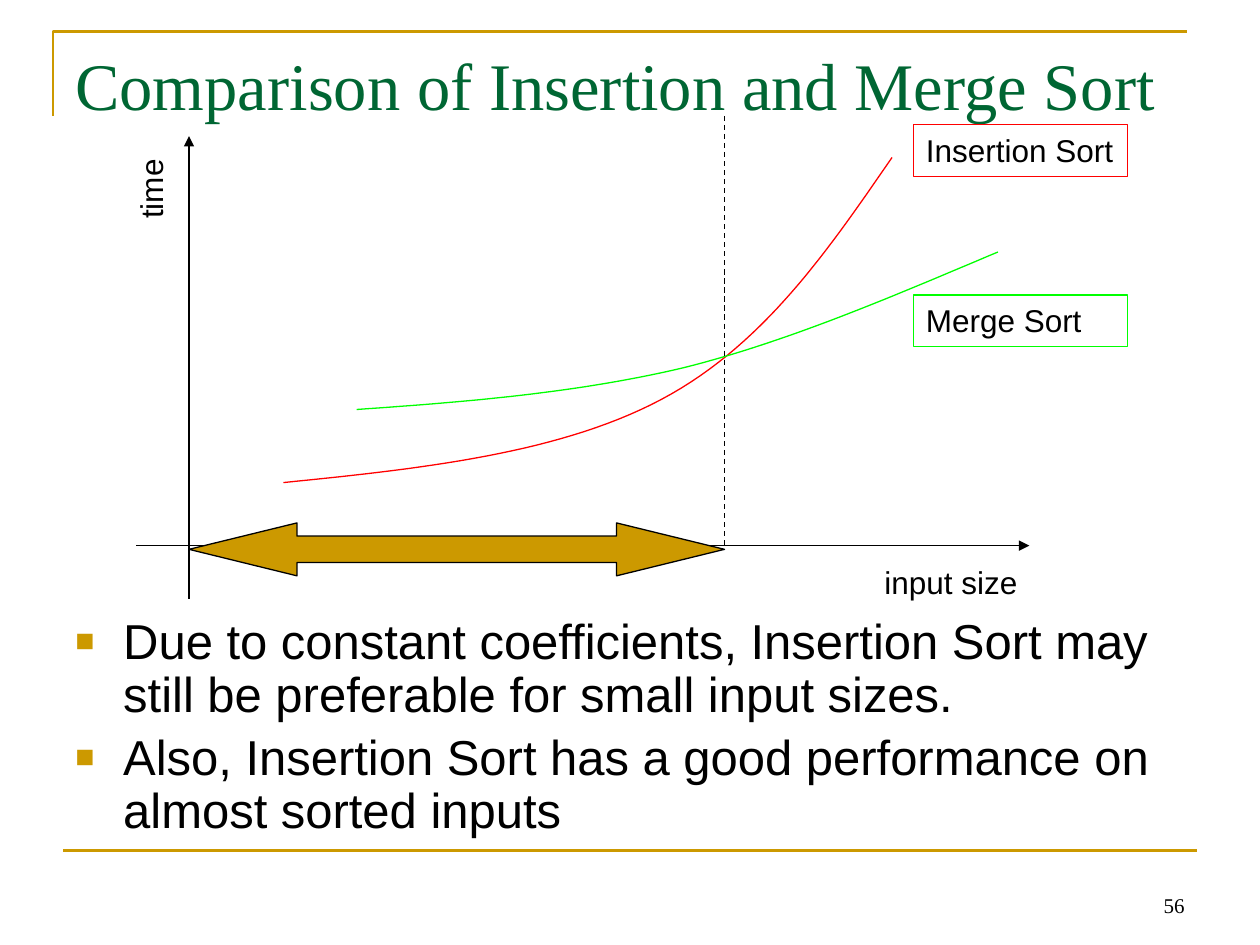
from dataclasses import dataclass

from lxml.etree import SubElement
from pptx import Presentation
from pptx.dml.color import RGBColor
from pptx.enum.dml import MSO_LINE_DASH_STYLE as Dash
from pptx.enum.shapes import MSO_CONNECTOR as Connector, MSO_SHAPE as Shape
from pptx.enum.text import MSO_ANCHOR as Anchor, PP_ALIGN as Align
from pptx.oxml.ns import qn
from pptx.util import Inches, Pt


@dataclass(frozen=True)
class Theme:
    gold: str = "CC9900"
    green: str = "006633"
    black: str = "000000"
    insertion: str = "FF0000"
    merge: str = "00FF00"
    serif: str = "Times New Roman"
    sans: str = "Arial"
    title_size: int = 38
    body_size: int = 28
    label_size: int = 18
    number_size: int = 12
    rule_width: float = 1.5
    thin_width: float = 0.75


def rgb(color):
    return RGBColor.from_string(color)


def bezier(start, control_1, control_2, end, steps=30):
    """Points along a cubic curve, without its start."""
    for step in range(1, steps + 1):
        t = step / steps
        weights = ((1 - t) ** 3, 3 * t * (1 - t) ** 2, 3 * t * t * (1 - t), t ** 3)
        yield tuple(
            sum(w * c for w, c in zip(weights, coords))
            for coords in zip(start, control_1, control_2, end)
        )


class SlideBuilder:
    def __init__(self, slide, theme):
        self.shapes = slide.shapes
        self.theme = theme

    def style_text(self, paragraph, size, color=None, font=None):
        paragraph.font.size = Pt(size)
        paragraph.font.name = font or self.theme.sans
        paragraph.font.color.rgb = rgb(color or self.theme.black)

    def style_line(self, line, color, width):
        line.color.rgb = rgb(color)
        line.width = Pt(width)

    def text(self, content, box, size, font=None, color=None, wrap=True,
             align=Align.LEFT, anchor=Anchor.TOP, rotation=0):
        label = self.shapes.add_textbox(*map(Inches, box))
        label.rotation = rotation
        frame = label.text_frame
        frame.word_wrap = wrap
        frame.vertical_anchor = anchor
        paragraph = frame.paragraphs[0]
        paragraph.text = content
        paragraph.alignment = align
        self.style_text(paragraph, size, color, font)
        return label

    def bullets(self, items, box, indent=0.38):
        frame = self.shapes.add_textbox(*map(Inches, box)).text_frame
        frame.word_wrap = True
        for index, item in enumerate(items):
            paragraph = frame.add_paragraph() if index else frame.paragraphs[0]
            paragraph.text = item
            paragraph.line_spacing = 0.9
            paragraph.space_before = Pt(0.2 * self.theme.body_size if index else 0)
            properties = paragraph._p.get_or_add_pPr()
            properties.set("marL", str(Inches(indent)))
            properties.set("indent", str(-Inches(indent)))
            bullet_color = SubElement(properties, qn("a:buClr"))
            SubElement(bullet_color, qn("a:srgbClr"), val=self.theme.gold)
            SubElement(properties, qn("a:buSzPct"), val="65000")
            SubElement(properties, qn("a:buFont"), typeface=self.theme.sans)
            SubElement(properties, qn("a:buChar"), char="■")
            self.style_text(paragraph, self.theme.body_size)

    def line(self, start, end, color, width, dash=None, arrow=False):
        ends = map(Inches, (*start, *end))
        connector = self.shapes.add_connector(Connector.STRAIGHT, *ends)
        self.style_line(connector.line, color, width)
        if dash:
            connector.line.dash_style = dash
        if arrow:
            SubElement(connector.line._get_or_add_ln(), qn("a:tailEnd"), type="triangle")
        SubElement(connector._element.spPr, qn("a:effectLst"))

    def outline(self, points, color, width):
        """Open, unfilled path through the points."""
        start, *rest = [(Inches(x), Inches(y)) for x, y in points]
        builder = self.shapes.build_freeform(*start)
        builder.add_line_segments(rest, close=False)
        path = builder.convert_to_shape()
        path.shadow.inherit = False
        path.fill.background()
        self.style_line(path.line, color, width)

    def curve(self, knots, color):
        """Smooth curve; knots hold start, control, control, end, control, ..."""
        points = [knots[0]]
        for first in range(0, len(knots) - 1, 3):
            points += bezier(*knots[first:first + 4])
        self.outline(points, color, self.theme.thin_width)

    def legend(self, name, box, color):
        label = self.text(name, box, self.theme.label_size)
        self.style_line(label.line, color, self.theme.thin_width)

    def range_arrow(self, box):
        arrow = self.shapes.add_shape(Shape.LEFT_RIGHT_ARROW, *map(Inches, box))
        arrow.adjustments[0] = 0.5
        arrow.adjustments[1] = 2.04
        arrow.shadow.inherit = False
        arrow.fill.solid()
        arrow.fill.fore_color.rgb = rgb(self.theme.gold)
        self.style_line(arrow.line, self.theme.black, self.theme.thin_width)


def main():
    theme = Theme()
    deck = Presentation()
    deck.slide_width, deck.slide_height = Inches(10), Inches(7.5)
    page = SlideBuilder(deck.slides.add_slide(deck.slide_layouts[6]), theme)

    page.outline([(0.42, 0.92), (0.42, 0.25), (9.42, 0.25)], theme.gold, theme.rule_width)
    page.line((0.5, 6.75), (9.5, 6.75), theme.gold, theme.rule_width)
    page.text("56", (7.17, 6.83, 2.33, 0.5), theme.number_size, theme.serif,
              align=Align.RIGHT, anchor=Anchor.BOTTOM)
    page.text("Comparison of Insertion and Merge Sort", (0.5, 0.3, 9, 1.25),
              theme.title_size, theme.serif, theme.green)
    page.bullets(
        ["Due to constant coefficients, Insertion Sort may still be preferable "
         "for small input sizes.",
         "Also, Insertion Sort has a good performance on almost sorted inputs"],
        (0.5, 4.85, 9, 1.8))

    origin_x, origin_y, crossover_x = 1.5, 4.33, 5.75
    page.line((origin_x, 4.75), (origin_x, 1.08), theme.black, theme.thin_width, arrow=True)
    page.line((1.08, origin_y), (8.17, origin_y), theme.black, theme.thin_width, arrow=True)
    page.curve([(2.25, 3.83), (3.35, 3.72), (4.44, 3.6), (5.25, 3.17),
                (6.06, 2.74), (6.57, 1.99), (7.08, 1.25)], theme.insertion)
    page.curve([(2.83, 3.25), (3.7, 3.19), (4.57, 3.12), (5.42, 2.92),
                (6.26, 2.71), (7.09, 2.35), (7.92, 2)], theme.merge)
    page.line((crossover_x, 0.92), (crossover_x, origin_y), theme.black,
              theme.thin_width, dash=Dash.DASH)

    page.text("time", (0.86, 1.3, 0.67, 0.4), theme.label_size, wrap=False, rotation=270)
    page.text("input size", (6.92, 4.42, 1.26, 0.4), theme.label_size, wrap=False)
    page.legend("Insertion Sort", (7.25, 0.99, 1.7, 0.41), theme.insertion)
    page.legend("Merge Sort", (7.25, 2.34, 1.7, 0.41), theme.merge)
    page.range_arrow((origin_x, 4.15, crossover_x - origin_x, 0.42))

    deck.save("out.pptx")


if __name__ == "__main__":
    main()
